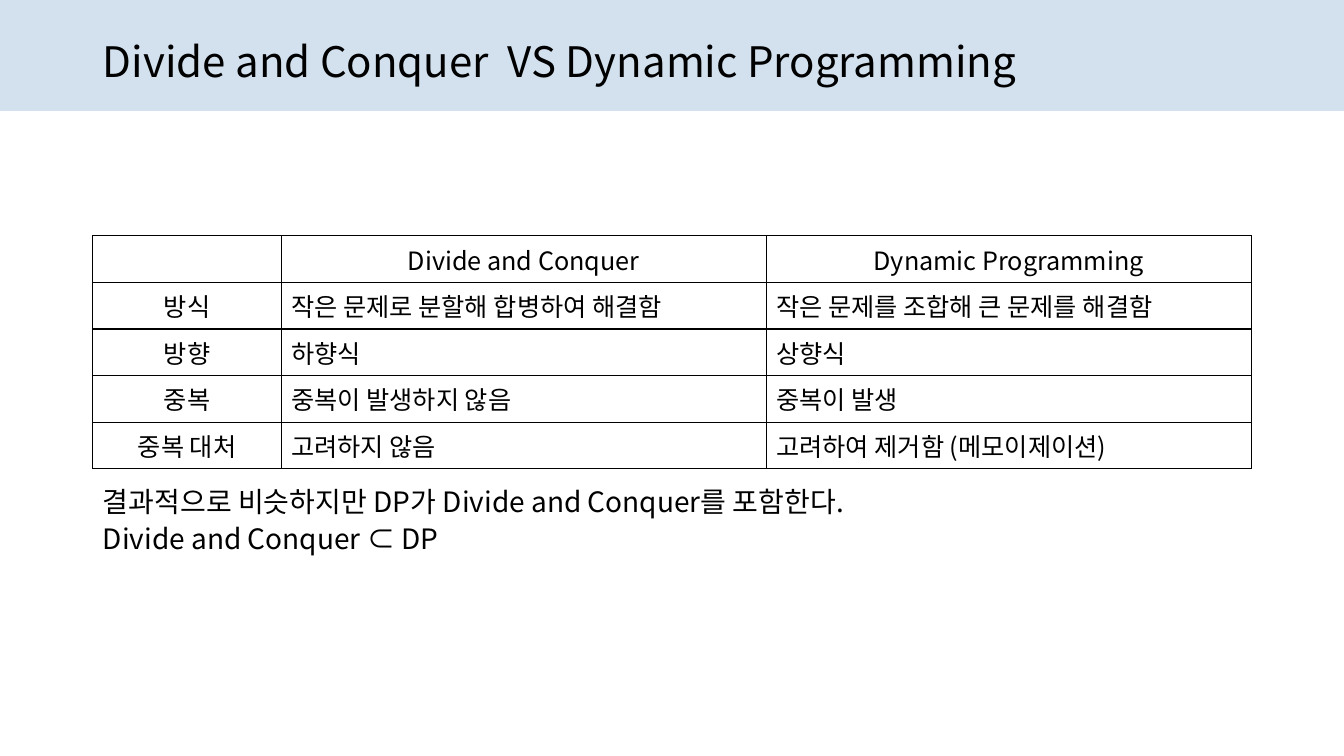
import pptx
import pptx.dml.color
import pptx.enum.shapes
import pptx.enum.text
import pptx.oxml.ns
import pptx.util
from lxml import etree

RGB = pptx.dml.color.RGBColor
BLACK = RGB(0x00, 0x00, 0x00)
BAND = RGB(0xD3, 0xE1, 0xEE)
FONT = "Noto Sans CJK KR"
ALIGN = pptx.enum.text.PP_ALIGN
ANCHOR = pptx.enum.text.MSO_ANCHOR
NOFIT = pptx.enum.text.MSO_AUTO_SIZE.NONE
inch = pptx.util.Inches
pt = pptx.util.Pt

WIDE, HIGH = 13.33, 7.5
LEFT, SPAN = 0.92, 11.5
COLS = [1.87, 4.81, 4.81]
ROW = 0.41

TITLE = "Divide and Conquer  VS Dynamic Programming"
ROWS = [
    ["", "Divide and Conquer", "Dynamic Programming"],
    ["방식", "작은 문제로 분할해 합병하여 해결함", "작은 문제를 조합해 큰 문제를 해결함"],
    ["방향", "하향식", "상향식"],
    ["중복", "중복이 발생하지 않음", "중복이 발생"],
    ["중복 대처", "고려하지 않음", "고려하여 제거함 (메모이제이션)"],
]
NOTES = [
    "결과적으로 비슷하지만 DP가 Divide and Conquer를 포함한다.",
    "Divide and Conquer ⊂ DP",
]


def apply(thing, **values):
    for name, value in values.items():
        setattr(thing, name, value)


def add(parent, tag, **attrs):
    return etree.SubElement(parent, pptx.oxml.ns.qn(tag), attrs)


def place(shape, box):
    names = ("left", "top", "width", "height")
    apply(shape, **dict(zip(names, map(inch, box))))


def write(para, text, size, **layout):
    """Fill a paragraph with one run, setting Latin and Korean fonts alike."""
    apply(para, **layout)
    run = para.add_run()
    run.text = text
    apply(run.font, name=FONT, size=pt(size))
    run.font.color.rgb = BLACK
    add(run.font._element, "a:ea", typeface=FONT)


def draw_band(slide, box):
    """Put the coloured strip on the layout, behind its title."""
    kind = pptx.enum.shapes.MSO_SHAPE.RECTANGLE
    band = slide.shapes.add_shape(kind, *map(inch, box))
    band.shadow.inherit = False
    band.fill.solid()
    band.fill.fore_color.rgb = BAND
    band.line.fill.background()
    title = slide.slide_layout.placeholders[0]
    title.element.addprevious(band.element)


def draw_title(slide, box):
    title = slide.shapes.title
    place(title, box)
    frame = title.text_frame
    apply(frame, word_wrap=True, auto_size=NOFIT, vertical_anchor=ANCHOR.MIDDLE)
    write(frame.paragraphs[0], TITLE, 30, alignment=ALIGN.LEFT, line_spacing=0.9)


def draw_notes(slide, box):
    body = slide.placeholders[1]
    place(body, box)
    frame = body.text_frame
    apply(frame, word_wrap=True, auto_size=NOFIT, vertical_anchor=ANCHOR.TOP)
    for i, text in enumerate(NOTES):
        para = frame.add_paragraph() if i else frame.paragraphs[0]
        props = para._p.get_or_add_pPr()
        apply(para, line_spacing=0.9, space_before=pt(5.4 if i else 0))
        props.set("marL", "0")
        props.set("indent", "0")
        add(props, "a:buNone")
        write(para, text, 20)


def edge(cell):
    """Rule all four sides of a cell in black, then leave it unfilled."""
    props = cell._tc.get_or_add_tcPr()
    for side in "LRTB":
        line = add(props, f"a:ln{side}", w=str(pt(1)))
        fill = add(line, "a:solidFill")
        add(fill, "a:srgbClr", val=str(BLACK))
    cell.fill.background()


def draw_table(slide, box):
    frame = slide.shapes.add_table(len(ROWS), len(COLS), *map(inch, box))
    table = frame.table
    apply(table, first_row=False, horz_banding=False)
    for col, width in zip(table.columns, COLS):
        col.width = inch(width)
    for r, texts in enumerate(ROWS):
        table.rows[r].height = inch(ROW)
        for c, text in enumerate(texts):
            cell = table.cell(r, c)
            edge(cell)
            if text:
                head = r == 0 or c == 0
                align = ALIGN.CENTER if head else ALIGN.LEFT
                write(cell.text_frame.paragraphs[0], text, 18, alignment=align)


def main():
    deck = pptx.Presentation()
    apply(deck, slide_width=inch(WIDE), slide_height=inch(HIGH))
    slide = deck.slides.add_slide(deck.slide_layouts[1])
    draw_band(slide, (0, 0, WIDE, 1.1))
    draw_title(slide, (LEFT, 0.4, SPAN, 0.47))
    draw_table(slide, (LEFT, 2.34, SPAN, ROW * len(ROWS)))
    draw_notes(slide, (LEFT, 4.79, SPAN, 2.48))
    deck.save("out.pptx")


if __name__ == "__main__":
    main()
